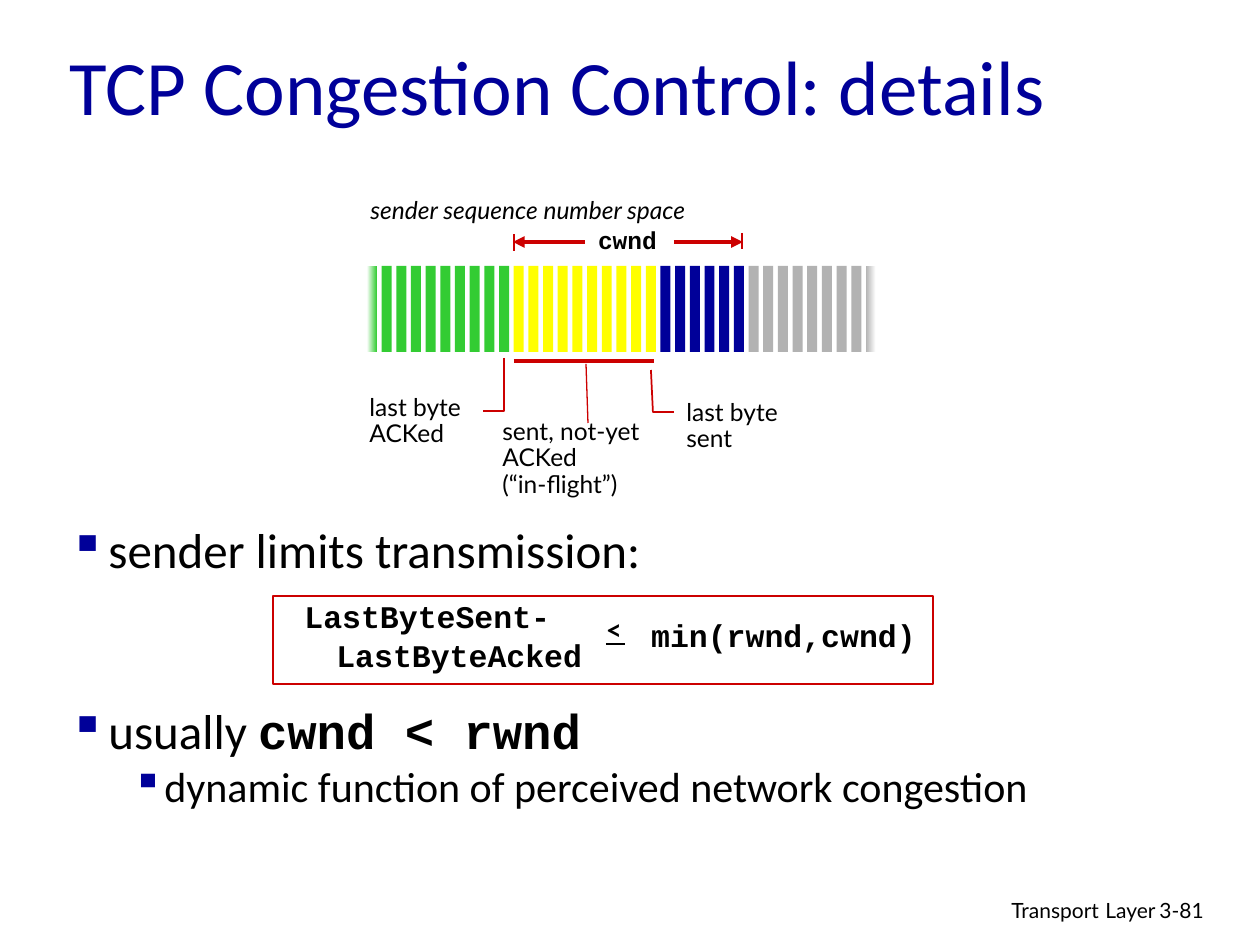
"""Build the TCP congestion control slide with its sequence number diagram."""
from lxml.etree import SubElement
from pptx import Presentation
from pptx.dml.color import RGBColor
from pptx.enum.shapes import MSO_CONNECTOR, MSO_SHAPE
from pptx.enum.text import MSO_ANCHOR, PP_ALIGN
from pptx.oxml.ns import qn
from pptx.util import Emu, Pt

SCALE = 914400 / 126
COLORS = {
    "navy": "000099", "black": "000000", "white": "FFFFFF", "red": "CC0000",
    "green": "33CC33", "yellow": "FFFF00", "gray": "B2B2B2",
}
CODE = {"font": "Courier New", "bold": True}
LABEL = {"size": 14, "spacing": 0.9}
FORMULA = {"size": 18, "spacing": 0.85, **CODE}

TEXTS = [
    ((57, 32, 1071, 106), ["TCP Congestion Control: details"],
     {"size": 44, "font": "Calibri", "color": "navy", "anchor": MSO_ANCHOR.MIDDLE}),
    ((769, 888, 399, 39), [[("Transport", {}), (" ", {"size": 14}), ("Layer", {})]],
     {"size": 12, "align": PP_ALIGN.RIGHT}),
    ((1147, 891, 93, 38), ["3-81"], {"size": 12}),
    ((590, 606, 48, 47), ["<"],
     {"size": 16, "bold": True, "align": PP_ALIGN.CENTER, "wrap": False}),
    ((292, 597, 320, 84), ["LastByteSent-"], FORMULA),
    ((324, 636, 288, 45), ["LastByteAcked"], FORMULA),
    ((638, 610, 291, 50), ["min(rwnd,cwnd)"],
     {"size": 18, "align": PP_ALIGN.CENTER, "wrap": False, **CODE}),
    ((357, 389, 131, 66), ["last byte", "ACKed"], LABEL),
    ((490, 413, 188, 92), ["sent, not-yet ACKed", "(“in-flight”)"], LABEL),
    ((674, 394, 164, 66), ["last byte sent"], LABEL),
    ((581, 222, 93, 39), ["cwnd"],
     {"align": PP_ALIGN.CENTER, "wrap": False, **LABEL, **CODE}),
    ((358, 189, 417, 42), ["sender sequence number space"], {"size": 14, "italic": True}),
]

BULLETS_BOX = (57, 522, 1103, 233)
BULLETS = [
    {"runs": "sender limits transmission:", "size": 28, "margin": 39, "hang": 39},
    {"runs": [("usually ", {}), ("cwnd < rwnd", CODE)],
     "size": 28, "margin": 39, "hang": 39, "before": 75},
    {"runs": "dynamic function of perceived network congestion",
     "size": 24, "margin": 95, "hang": 32, "before": 5, "level": 1},
]

SEGMENTS = [("green", 10), ("yellow", 10), ("navy", 6), ("gray", 9)]
BAR_FIRST, BAR_LAST, BAR_TOP, BAR_WIDTH, BAR_HEIGHT = 367, 866, 266, 10, 86
FORMULA_FRAME = (273, 596, 660, 88)

LINES = [
    ((606, 644), (625, 644), "black", 1.5, False),
    ((514, 361), (654, 361), "red", 2.25, False),
    ((586, 364), (588, 423), "red", 0.75, False),
    ((674, 242), (743, 242), "red", 2.25, True),
    ((742, 233), (742, 249), "red", 0.75, False),
    ((585, 242), (513, 242), "red", 2.25, True),
    ((514, 251), (514, 234), "red", 0.75, False),
]
BRACKETS = [
    [(504, 358), (504, 411), (483, 411)],
    [(651, 370), (653, 412), (674, 412)],
]


def px(value):
    return Emu(round(value * SCALE))


def color(name):
    return RGBColor.from_string(COLORS[name])


def add_runs(para, runs, size=14, font="Lato", color_name="black", bold=False, italic=False):
    for text, changes in [(runs, {})] if isinstance(runs, str) else runs:
        span = para.add_run()
        span.text = text
        span.font.size = Pt(changes.get("size", size))
        span.font.name = changes.get("font", font)
        span.font.bold = changes.get("bold", bold)
        span.font.italic = italic
        span.font.color.rgb = color(color_name)


def add_text(page, place, paragraphs, size=14, font="Lato", color="black", bold=False,
             italic=False, align=PP_ALIGN.LEFT, anchor=MSO_ANCHOR.TOP, spacing=1.0, wrap=True):
    frame = page.shapes.add_textbox(*map(px, place)).text_frame
    frame.word_wrap = wrap
    frame.vertical_anchor = anchor
    for index, runs in enumerate(paragraphs):
        para = frame.add_paragraph() if index else frame.paragraphs[0]
        para.alignment = align
        para.line_spacing = spacing
        add_runs(para, runs, size, font, color, bold, italic)


def add_bullets(page):
    frame = page.shapes.add_textbox(*map(px, BULLETS_BOX)).text_frame
    frame.word_wrap = True
    for index, item in enumerate(BULLETS):
        para = frame.add_paragraph() if index else frame.paragraphs[0]
        para.level = item.get("level", 0)
        para.line_spacing = 0.85
        para.space_before = Pt(item.get("before", 0))
        properties = para._p.get_or_add_pPr()
        properties.set("marL", str(px(item["margin"])))
        properties.set("indent", str(-px(item["hang"])))
        bullet_color = SubElement(properties, qn("a:buClr"))
        SubElement(bullet_color, qn("a:srgbClr"), val=COLORS["navy"])
        SubElement(properties, qn("a:buChar"), char="▪")
        add_runs(para, item["runs"], item["size"], "Calibri")


def add_bar(page, left, fill_names):
    bar = page.shapes.add_shape(
        MSO_SHAPE.RECTANGLE, *map(px, (left, BAR_TOP, BAR_WIDTH, BAR_HEIGHT)))
    bar.shadow.inherit = False
    bar.line.fill.background()
    if len(fill_names) == 1:
        bar.fill.solid()
        bar.fill.fore_color.rgb = color(fill_names[0])
        return
    bar.fill.gradient()
    bar.fill.gradient_angle = 0
    for stop, name in zip(bar.fill.gradient_stops, fill_names):
        stop.color.rgb = color(name)


def add_bars(page):
    names = [name for name, count in SEGMENTS for _ in range(count)]
    fills = [[name] for name in names]
    fills[0].insert(0, "white")
    fills[-1].append("white")
    pitch = (BAR_LAST - BAR_FIRST) / (len(names) - 1)
    for index, fill_names in enumerate(fills):
        add_bar(page, BAR_FIRST + index * pitch, fill_names)


def add_line(page, start, end, color_name, width, arrow):
    line = page.shapes.add_connector(MSO_CONNECTOR.STRAIGHT, *map(px, start + end))
    line.line.color.rgb = color(color_name)
    line.line.width = Pt(width)
    if arrow:
        SubElement(line.line._get_or_add_ln(), qn("a:tailEnd"), type="triangle")
    SubElement(line._element.spPr, qn("a:effectLst"))


def outline(shape):
    shape.shadow.inherit = False
    shape.fill.background()
    shape.line.color.rgb = color("red")
    shape.line.width = Pt(1)


def main():
    deck = Presentation()
    deck.slide_width, deck.slide_height = px(1260), px(945)
    page = deck.slides.add_slide(deck.slide_layouts[6])
    add_bars(page)
    for place, paragraphs, style in TEXTS:
        add_text(page, place, paragraphs, **style)
    add_bullets(page)
    outline(page.shapes.add_shape(MSO_SHAPE.RECTANGLE, *map(px, FORMULA_FRAME)))
    for line in LINES:
        add_line(page, *line)
    for start, *rest in BRACKETS:
        builder = page.shapes.build_freeform(*start, scale=SCALE)
        builder.add_line_segments(rest, close=False)
        outline(builder.convert_to_shape())
    deck.save("out.pptx")


if __name__ == "__main__":
    main()
